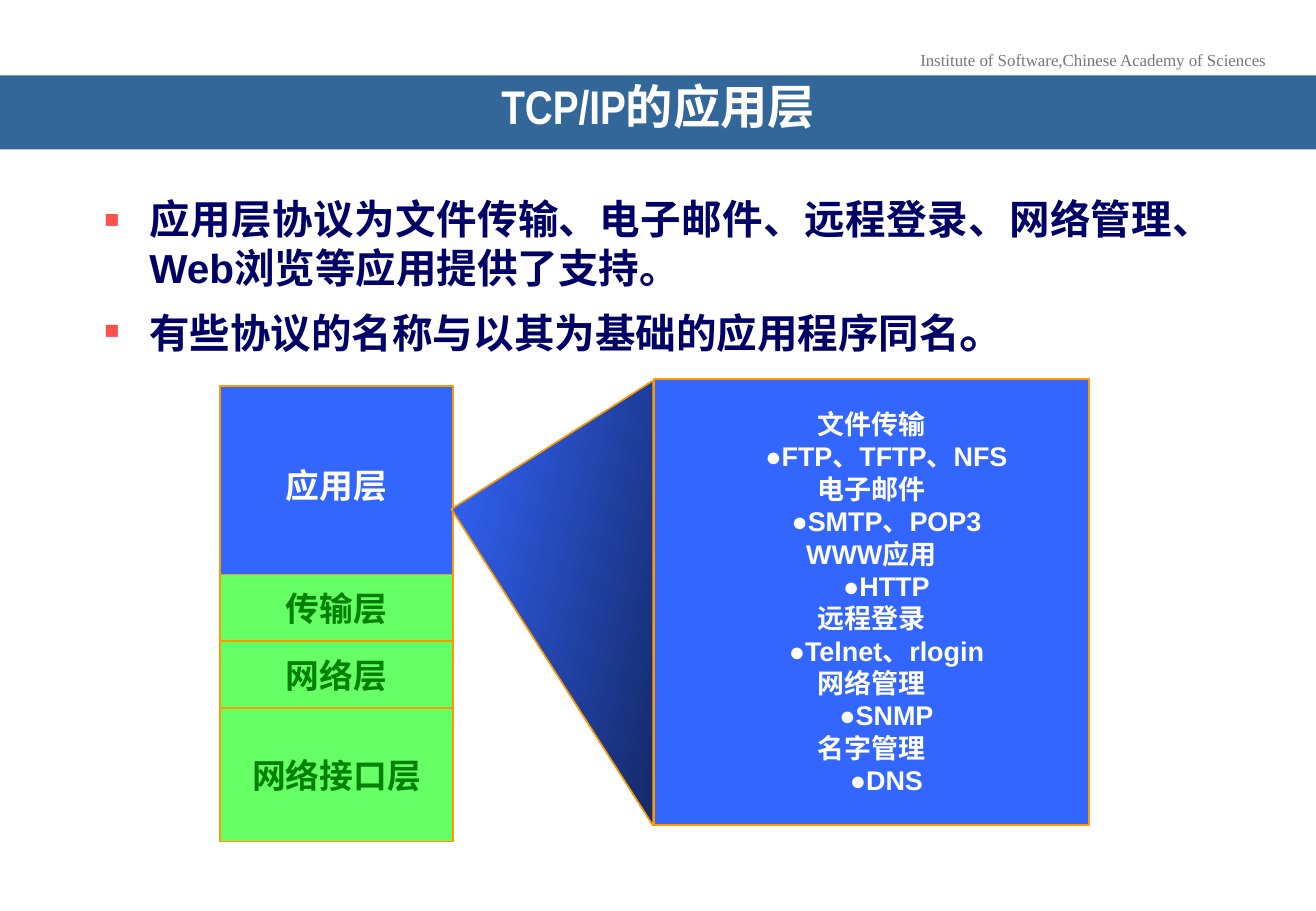
from lxml import etree
from pptx import Presentation
from pptx.dml.color import RGBColor
from pptx.enum import shapes, text
from pptx.oxml import ns
from pptx.util import Inches, Pt

COLORS = {
    "banner": "336699", "white": "FFFFFF", "grey": "777777", "navy": "000066",
    "bullet": "FF5050", "blue": "3366FF", "green": "66FF66",
    "dark_green": "008000", "orange": "FF9900", "black": "000000",
}
POINTS = [
    "应用层协议为文件传输、电子邮件、远程登录、网络管理、Web浏览等应用提供了支持。",
    "有些协议的名称与以其为基础的应用程序同名。",
]
SERVICES = [
    ("文件传输", "FTP、TFTP、NFS"), ("电子邮件", "SMTP、POP3"),
    ("WWW应用", "HTTP"), ("远程登录", "Telnet、rlogin"),
    ("网络管理", "SNMP"), ("名字管理", "DNS"),
]
LAYER_LEFT, LAYER_WIDTH, LAYER_UNIT, LOWER_TOP = 1.81, 1.92, 0.55, 4.73


def rgb(name):
    return RGBColor.from_string(COLORS[name])


def place(shape, left, top, width, height):
    shape.left, shape.top = Inches(left), Inches(top)
    shape.width, shape.height = Inches(width), Inches(height)


def style(paragraph, size, color, font="Arial", bold=True,
          align=text.PP_ALIGN.CENTER):
    paragraph.alignment = align
    paragraph.font.name = font
    paragraph.font.size = Pt(size)
    paragraph.font.bold = bold
    paragraph.font.color.rgb = rgb(color)


def add_square_bullet(paragraph):
    props = paragraph._p.get_or_add_pPr()
    props.set("marL", str(Inches(0.38)))
    props.set("indent", str(-Inches(0.38)))
    color = etree.SubElement(props, ns.qn("a:buClr"))
    etree.SubElement(color, ns.qn("a:srgbClr"), val=COLORS["bullet"])
    etree.SubElement(props, ns.qn("a:buSzPct"), val="120000")
    etree.SubElement(props, ns.qn("a:buFont"), typeface="Arial")
    etree.SubElement(props, ns.qn("a:buChar"), char="▪")


def add_outlined(slide, kind, left, top, width, height):
    shape = slide.shapes.add_shape(kind, Inches(left), Inches(top),
                                   Inches(width), Inches(height))
    shape.shadow.inherit = False
    shape.line.color.rgb = rgb("orange")
    shape.line.width = Pt(1)
    return shape


def add_box(slide, left, top, width, height, fill, lines, size, color):
    box = add_outlined(slide, shapes.MSO_SHAPE.RECTANGLE,
                       left, top, width, height)
    box.fill.solid()
    box.fill.fore_color.rgb = rgb(fill)
    frame = box.text_frame
    frame.word_wrap = True
    frame.vertical_anchor = text.MSO_ANCHOR.MIDDLE
    frame.text = "\n".join(lines)
    for paragraph in frame.paragraphs:
        style(paragraph, size, color)
    return box


def add_institute(slide):
    institute = slide.shapes.add_textbox(Inches(7.46), Inches(0.36),
                                         Inches(3.07), Inches(0.27))
    frame = institute.text_frame
    frame.word_wrap = False
    frame.text = "Institute of Software,Chinese Academy of Sciences"
    style(frame.paragraphs[0], 10, "grey", "Times New Roman", False)


def fill_title(title):
    place(title, 0, 0.62, 10.83, 0.61)
    title.fill.solid()
    title.fill.fore_color.rgb = rgb("banner")
    frame = title.text_frame
    frame.auto_size = text.MSO_AUTO_SIZE.NONE
    frame.vertical_anchor = text.MSO_ANCHOR.MIDDLE
    frame.margin_left = frame.margin_right = Inches(0.31)
    frame.text = "TCP/IP的应用层"
    frame.paragraphs[0].line_spacing = 0.7
    style(frame.paragraphs[0], 28, "white", "Arial Narrow")


def fill_points(body):
    place(body, 0.75, 1.55, 9.34, 1.34)
    frame = body.text_frame
    frame.auto_size = text.MSO_AUTO_SIZE.NONE
    frame.text = "\n".join(POINTS)
    for index, paragraph in enumerate(frame.paragraphs):
        add_square_bullet(paragraph)
        paragraph.space_before = Pt(6 if index else 0)
        style(paragraph, 24, "navy", align=text.PP_ALIGN.JUSTIFY)
    # The closing full stop of the last point is larger
    closing = frame.paragraphs[-1]
    closing.runs[0].text = POINTS[-1][:-1]
    stop = closing.add_run()
    stop.text = POINTS[-1][-1]
    stop.font.size = Pt(28)


def add_layers(slide):
    add_box(slide, LAYER_LEFT, 3.18, LAYER_WIDTH, 1.62, "blue",
            ["应用层"], 20, "white")
    # Lower layers: name, offset and height in layer units
    for name, offset, units in [("传输层", 0, 1), ("网络接口层", 2, 2),
                                ("网络层", 1, 1)]:
        add_box(slide, LAYER_LEFT, LOWER_TOP + offset * LAYER_UNIT,
                LAYER_WIDTH, units * LAYER_UNIT, "green",
                [name], 20, "dark_green")


def add_services(slide):
    lines = [line for service, protocols in SERVICES
             for line in (service, "●" + protocols)]
    panel = add_box(slide, 5.38, 3.12, 3.58, 3.67, "blue", lines, 16, "white")
    for protocols in panel.text_frame.paragraphs[1::2]:
        protocols._p.get_or_add_pPr().set("marL", str(Inches(0.25)))


def add_zoom_wedge(slide):
    wedge = add_outlined(slide, shapes.MSO_SHAPE.RIGHT_TRIANGLE,
                         3.83, 3.98, 3.09, 1.97)
    wedge.rotation = 57.5
    wedge.fill.gradient()
    wedge.fill.gradient_angle = 45
    for stop, position, color in zip(wedge.fill.gradient_stops, (0, 1),
                                     ("blue", "black")):
        stop.position = position
        stop.color.rgb = rgb(color)


def main():
    deck = Presentation()
    deck.slide_width, deck.slide_height = Inches(10.83), Inches(7.5)
    slide = deck.slides.add_slide(deck.slide_layouts[1])

    # Heading and main points
    add_institute(slide)
    fill_title(slide.shapes.title)
    fill_points(slide.placeholders[1])

    # Protocol stack with the application layer enlarged
    add_layers(slide)
    add_services(slide)
    add_zoom_wedge(slide)

    deck.save("out.pptx")


if __name__ == "__main__":
    main()
